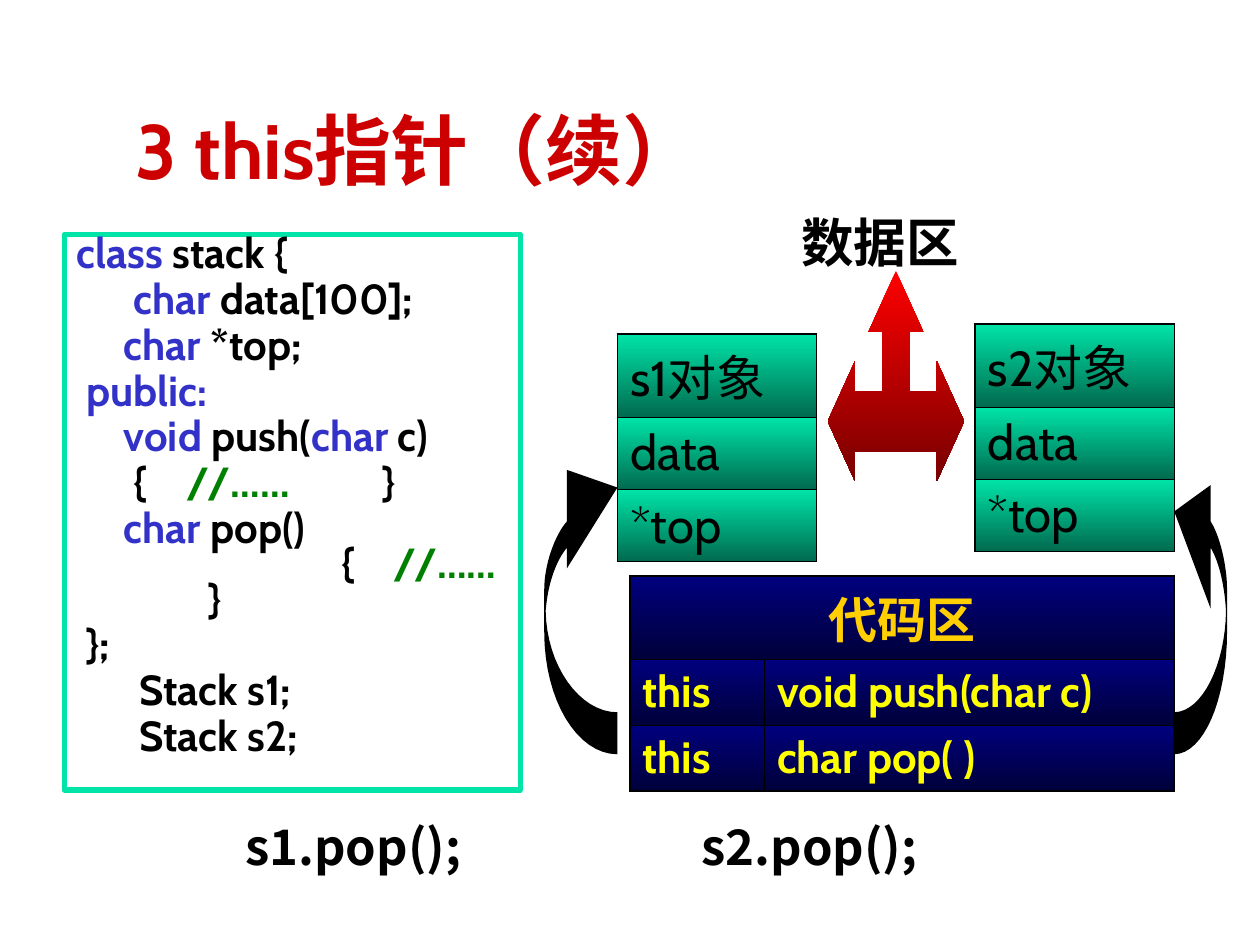
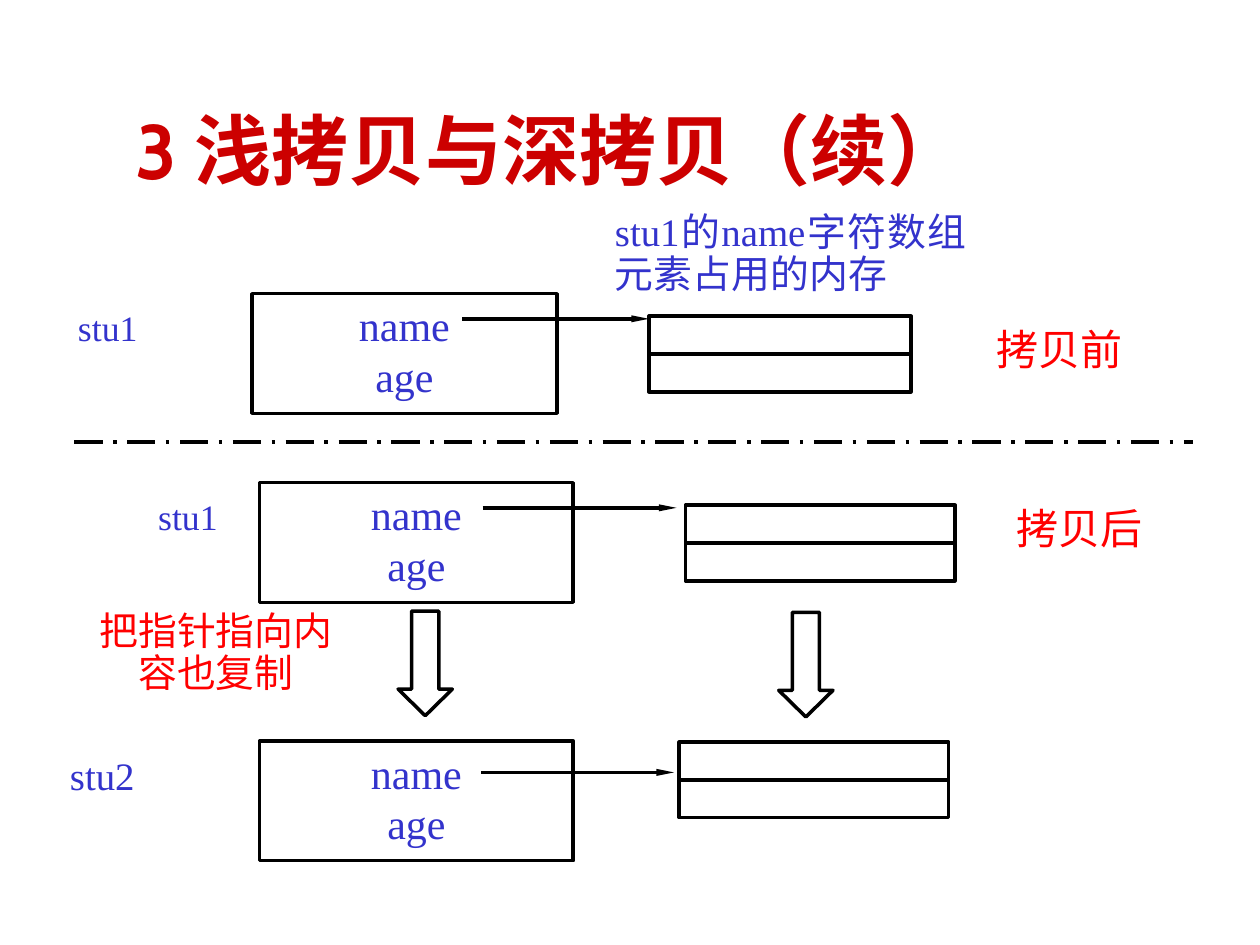
from lxml.etree import SubElement
from pptx import Presentation
from pptx.dml.color import RGBColor
from pptx.enum.dml import MSO_LINE as Dash
from pptx.enum.shapes import MSO_CONNECTOR as Link, MSO_SHAPE as Preset
from pptx.enum.text import MSO_ANCHOR as Anchor, MSO_AUTO_SIZE as Fit, PP_ALIGN as Align
from pptx.oxml.ns import qn
from pptx.util import Pt

BLACK, BLUE, RED, TITLE_RED = "000000", "3333CC", "FF0000", "CC0000"
KEYWORD, COMMENT = "3232C8", "008000"
GREEN_FADE, NAVY_FADE, RED_FADE = ("00E4A8", "006A4E"), ("00007E", "00003A"), ("FF0000", "760000")
CABIN, MONTSERRAT, NOTO, TIMES = "Cabin", "Montserrat", "Noto Sans CJK SC", "Times New Roman"


def color(hex_code):
    """Turn a hex string into a colour."""
    return RGBColor.from_string(hex_code)


def assign(target, values):
    """Set each attribute in the dict on the target."""
    for name, value in values.items():
        setattr(target, name, value)


def curve(start, first, second, end, steps=16):
    """Return points along a cubic curve, without its start."""
    points = []
    for step in range(1, steps + 1):
        t = step / steps
        weights = ((1 - t) ** 3, 3 * t * (1 - t) ** 2, 3 * t * t * (1 - t), t ** 3)
        points.append(tuple(sum(w * p[axis] for w, p in zip(weights, (start, first, second, end)))
                            for axis in (0, 1)))
    return points


class Sketch:
    """Hold the deck style and the current slide."""

    def __init__(self, width, height):
        """Start an empty deck."""
        self.deck = Presentation()
        assign(self.deck, {"slide_width": Pt(width), "slide_height": Pt(height)})
        self.slide = None

    def page(self, title):
        """Add a title-only slide."""
        self.slide = self.deck.slides.add_slide(self.deck.slide_layouts[5])
        box = self.slide.shapes.title
        assign(box, {"left": Pt(70.5), "top": Pt(43.2), "width": Pt(613.5), "height": Pt(72)})
        assign(box.text_frame, {"vertical_anchor": Anchor.BOTTOM, "auto_size": Fit.NONE})
        self.fill_para(box.text_frame.paragraphs[0], [(title, TITLE_RED)], CABIN, 44, True)

    def fill_para(self, para, spans, font, size, bold=False, **layout):
        """Fill a paragraph with coloured spans."""
        assign(para, {"alignment": Align.LEFT, **layout})
        for text, ink in spans:
            span = para.add_run()
            span.text = text
            assign(span.font, {"name": font, "size": Pt(size), "bold": bold})
            span.font.color.rgb = color(ink)
            SubElement(span._r.get_or_add_rPr(), qn("a:ea"), typeface=NOTO)

    def frame(self, box, margin_x, margin_y):
        """Prepare the text frame of a box."""
        assign(box.text_frame, {"word_wrap": True, "vertical_anchor": Anchor.TOP,
                                "margin_left": Pt(margin_x), "margin_right": Pt(margin_x),
                                "margin_top": Pt(margin_y), "margin_bottom": Pt(margin_y)})
        return box.text_frame

    def text(self, area, words, font, size, ink, margins=(0, 0), bold=False, **layout):
        """Add a text box with one paragraph."""
        box = self.slide.shapes.add_textbox(*map(Pt, area))
        para = self.frame(box, *margins).paragraphs[0]
        self.fill_para(para, [(words, ink)], font, size, bold, **layout)

    def outline(self, preset, area, ink=BLACK, weight=2):
        """Add an unfilled preset shape."""
        shape = self.slide.shapes.add_shape(preset, *map(Pt, area))
        shape.shadow.inherit = False
        shape.fill.background()
        shape.line.color.rgb = color(ink)
        shape.line.width = Pt(weight)
        return shape

    def fade(self, fill, inks):
        """Apply a top-to-bottom gradient."""
        fill.gradient()
        fill.gradient_angle = 270
        for stop, ink in zip(fill.gradient_stops, inks):
            stop.color.rgb = color(ink)

    def polygon(self, points):
        """Add a black polygon without outline."""
        start, *others = [(Pt(x), Pt(y)) for x, y in points]
        builder = self.slide.shapes.build_freeform(*start)
        builder.add_line_segments(others, close=True)
        shape = builder.convert_to_shape()
        shape.shadow.inherit = False
        shape.fill.solid()
        shape.fill.fore_color.rgb = color(BLACK)
        shape.line.fill.background()
        return shape

    def curved_arrow(self, tip_x, reach, head_top, tip_y, head_low):
        """Add a bent arrow that bulges sideways by reach."""
        def at(share, y):
            return tip_x + reach * share, y

        base, outer, inner = at(0, 431), at(1, 361), at(0.98, 349)
        outer_neck, inner_neck, foot = at(0.69, 298), at(0.69, 313), at(0, 407)
        self.polygon([base, *curve(base, at(0.55, 431), at(1, 400), outer), at(1, 337),
                      *curve(at(1, 337), at(1, 323), at(0.86, 306), outer_neck),
                      at(0.69, head_top), at(0, tip_y), at(0.69, head_low), inner_neck,
                      *curve(inner_neck, at(0.83, 320), at(0.95, 333), inner),
                      *curve(inner, at(0.97, 380), at(0.52, 407), foot)])

    def line(self, start, end, arrow=False, dash=None):
        """Add a straight black connector."""
        link = self.slide.shapes.add_connector(Link.STRAIGHT, *map(Pt, start + end))
        link.line.color.rgb = color(BLACK)
        assign(link.line, {"width": Pt(2), "dash_style": dash})
        properties = link.element.spPr
        if arrow:
            SubElement(properties.find(qn("a:ln")), qn("a:tailEnd"), type="triangle", w="sm", len="lg")
        SubElement(properties, qn("a:effectLst"))
        return link

    def code(self, area, lines):
        """Add a framed code listing aligned by tab stops."""
        box = self.outline(Preset.RECTANGLE, area, GREEN_FADE[0], 3)
        body = self.frame(box, 7.2, 3.6)
        for index, (gap, stops, spans) in enumerate(lines):
            para = body.add_paragraph() if index else body.paragraphs[0]
            self.fill_para(para, spans, CABIN, 24, True, line_spacing=0.7, space_before=Pt(gap))
            tabs = SubElement(para._p.get_or_add_pPr(), qn("a:tabLst")) if stops else None
            for stop in stops:
                SubElement(tabs, qn("a:tab"), pos=str(int(Pt(stop))), algn="l")

    def table(self, left, top, widths, heights, rows, inks, merge_header=False):
        """Add a gradient table; each cell holds text, size, colour, bold, alignment."""
        holder = self.slide.shapes.add_table(len(heights), len(widths), Pt(left), Pt(top),
                                             Pt(sum(widths)), Pt(sum(heights)))
        grid = holder.table
        assign(grid, {"first_row": False, "horz_banding": False})
        for column, width in zip(grid.columns, widths):
            column.width = Pt(width)
        for row, height in zip(grid.rows, heights):
            row.height = Pt(height)
        if merge_header:
            grid.cell(0, 0).merge(grid.cell(0, len(widths) - 1))
        for r, row in enumerate(rows):
            for c, (words, size, ink, bold, align) in enumerate(row):
                para = grid.cell(r, c).text_frame.paragraphs[0]
                self.fill_para(para, [(words, ink)], CABIN, size, bold, alignment=align)
        for r in range(len(heights)):
            for c in range(len(widths)):
                cell = grid.cell(r, c)
                header = merge_header and r == 0
                outer = {"L": c == 0 or header, "R": c == len(widths) - 1 or header,
                         "T": r == 0, "B": r == len(heights) - 1}
                for side, is_outer in outer.items():
                    border = SubElement(cell._tc.get_or_add_tcPr(), qn(f"a:ln{side}"),
                                        w=str(int(Pt(1.08 if is_outer else 0.45))))
                    SubElement(SubElement(border, qn("a:solidFill")), qn("a:srgbClr"), val=BLACK)
                self.fade(cell.fill, inks)

    def memory(self, left, top, width):
        """Add a two-cell memory block."""
        block = self.outline(Preset.RECTANGLE, (left, top, width, 43.2))
        middle = top + 21.6
        divider = self.line((left, middle), (left + width, middle))
        divider.begin_connect(block, 1)
        divider.end_connect(block, 3)

    def record(self, left, top, width):
        """Add a student record with its two fields."""
        box = self.outline(Preset.RECTANGLE, (left, top, width, 68.4))
        body = self.frame(box, 0, 3.6)
        for index, field in enumerate(("name", "age")):
            para = body.add_paragraph() if index else body.paragraphs[0]
            self.fill_para(para, [(field, BLUE)], TIMES, 24, alignment=Align.CENTER)


def pointer_page(sketch):
    """Build the slide on the this pointer."""
    sketch.page("3 this指针（续）")
    sketch.code((36.7, 133.9, 260.6, 317.5), [
        (6, [], [("class ", KEYWORD), ("stack {", BLACK)]),
        (6, [32.5], [("\tchar", KEYWORD), (" data[100];", BLACK)]),
        (6, [27], [("\tchar", KEYWORD), (" *top;", BLACK)]),
        (6, [5.5], [("\tpublic:", KEYWORD)]),
        (6, [27], [("\tvoid ", KEYWORD), ("push(", BLACK), ("char", KEYWORD), (" c)", BLACK)]),
        (6, [32.5, 63, 175], [("\t{", BLACK), ("\t//……", COMMENT), ("\t}", BLACK)]),
        (6, [27], [("\tchar", KEYWORD), (" pop()", BLACK)]),
        (0, [151.5, 181], [("\t{", BLACK), ("\t//……", COMMENT)]),
        (0, [75.5], [("\t}", BLACK)]),
        (6, [5.5], [("\t};", BLACK)]),
        (6, [36], [("\tStack s1;", BLACK)]),
        (6, [36], [("\tStack s2;", BLACK)]),
    ])
    members = ("void push(char c)", "char pop( )")
    rows = [[("代码区", 28, "FFCF01", True, Align.CENTER)]]
    rows += [[(words, 25, "FFFF00", True, Align.LEFT) for words in ("this", member)] for member in members]
    sketch.table(360, 329, (77, 234), (41, 37.4, 37.4), rows, NAVY_FADE, merge_header=True)
    for name, left, top in (("s1", 352.8, 190.8), ("s2", 557.3, 185)):
        rows = [[(words, 28, BLACK, False, Align.LEFT)] for words in (f"{name}对象", "data", "*top")]
        sketch.table(left, top, (113.8,), (41, 41, 41), rows, GREEN_FADE)
    sketch.text((450.7, 116.6, 167.8, 43.2), "数据区", MONTSERRAT, 30, BLACK, (7.2, 3.6), True)

    center = 512
    right_half = [(15.6, 189.5), (7.8, 189.5), (7.8, 223.7), (23.4, 223.7), (23.4, 206.4), (39, 240.8),
                  (23.4, 275), (23.4, 258)]
    left_half = [(-x, y) for x, y in reversed(right_half)]
    points = [(0, 154.8)] + right_half + left_half
    sketch.fade(sketch.polygon([(center + x, y) for x, y in points]).fill, RED_FADE)

    sketch.curved_arrow(352.8, -41.8, 268.5, 278.6, 324.8)
    sketch.curved_arrow(671, 30.2, 277.2, 292.3, 347.8)
    for words, left in (("s1.pop();", 133.2), ("s2.pop();", 393.8)):
        sketch.text((left, 463, 170, 41), words, NOTO, 28, BLACK, (7.2, 3.6), True)


def copy_page(sketch):
    """Build the slide on shallow and deep copies."""
    sketch.page("3 浅拷贝与深拷贝（续）")
    for words, left, top in (("拷贝前", 530, 185), ("拷贝后", 541.5, 287.3)):
        sketch.text((left, top, 150.5, 31), words, TIMES, 24, RED, (7.2, 0), alignment=Align.CENTER)
    sketch.text((351.4, 121.7, 200.9, 55.4), "stu1的name字符数组元素占用的内存", TIMES, 22.2, BLUE,
                alignment=Align.JUSTIFY, line_spacing=0.9)
    for area in ((144, 167.8, 174.2), (148.3, 275.8, 179.3), (148.3, 423.4, 179.3)):
        sketch.record(*area)
    for area in ((370.8, 180.7, 149.8), (391.7, 288.7, 154.1), (388.1, 424.1, 154.1)):
        sketch.memory(*area)
    for left, right, y in ((264.2, 370.8, 182.2), (275.8, 386.6, 290.2), (275, 385.2, 441.4)):
        sketch.line((left, y), (right, y), arrow=True)
    for words, left, top, size in (("stu1", 44.6, 177.8, 20.4), ("stu1", 90.4, 285.8, 20.4),
                                   ("stu2", 40, 432.7, 22.2)):
        sketch.text((left, top, 55, 26), words, TIMES, size, BLUE, line_spacing=0.9)
    sketch.line((42.5, 252.7), (681.8, 252.7), dash=Dash.LONG_DASH_DOT)
    sketch.text((48.2, 349.9, 150.5, 56.9), "把指针指向内容也复制", TIMES, 22.2, RED, (7.2, 0),
                alignment=Align.CENTER, line_spacing=0.9)
    for left, top in ((227.5, 349.2), (445, 349.9)):
        arrow = sketch.outline(Preset.DOWN_ARROW, (left, top, 31, 59.8))
        arrow.adjustments[1] = 0.49


def main():
    """Build and save the deck."""
    sketch = Sketch(720, 540)
    pointer_page(sketch)
    copy_page(sketch)
    sketch.deck.save("out.pptx")


if __name__ == "__main__":
    main()
